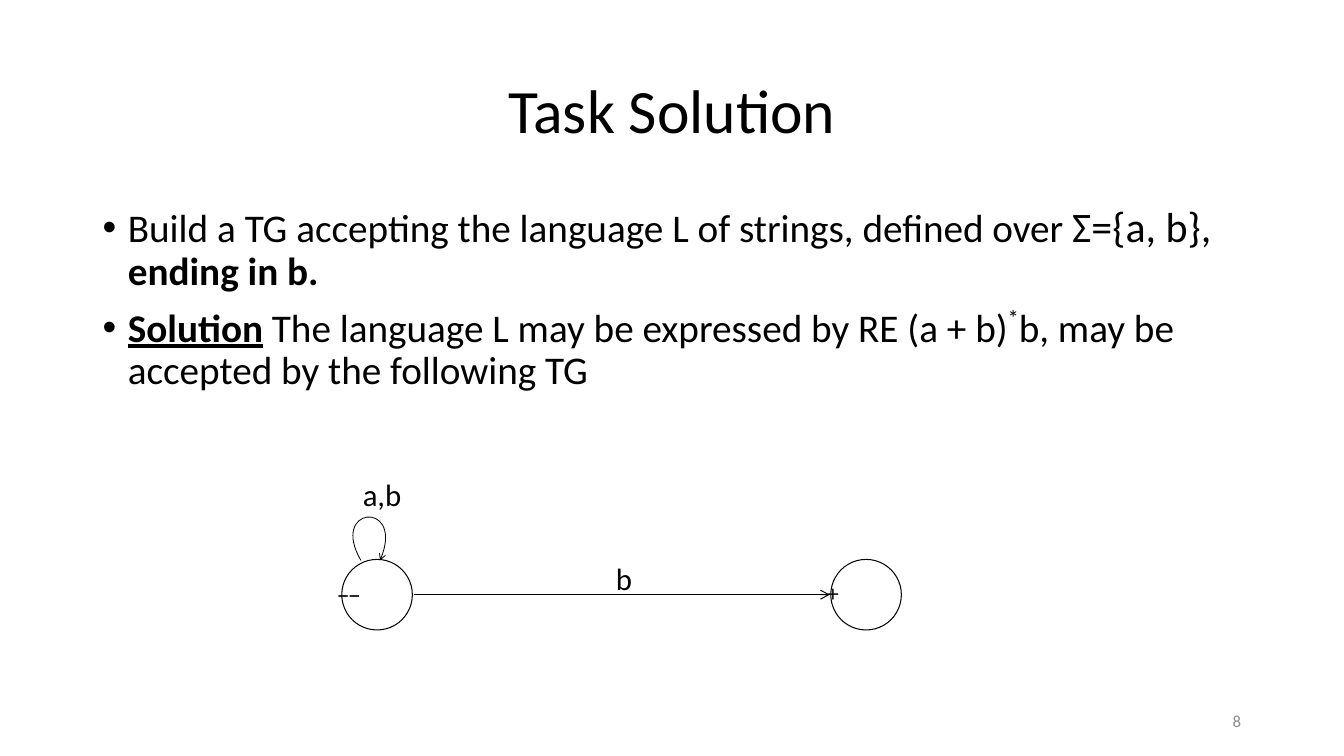
from lxml import etree
from pptx import Presentation
from pptx.dml.color import RGBColor
from pptx.enum.shapes import MSO_CONNECTOR, MSO_SHAPE
from pptx.enum.text import MSO_ANCHOR, MSO_AUTO_SIZE, PP_ALIGN
from pptx.oxml import parse_xml
from pptx.oxml.ns import nsdecls, qn
from pptx.util import Inches, Pt

LEFT, CENTER, RIGHT = PP_ALIGN.LEFT, PP_ALIGN.CENTER, PP_ALIGN.RIGHT
TOP, MIDDLE = MSO_ANCHOR.TOP, MSO_ANCHOR.MIDDLE
NO_AUTOFIT = MSO_AUTO_SIZE.NONE
STRAIGHT, CIRCLE = MSO_CONNECTOR.STRAIGHT, MSO_SHAPE.OVAL
COLORS = {"ink": "000000", "paper": "FFFFFF", "number": "8C8C8C"}
BODY_FONT, MARK_FONT = "Calibri", "Open Sans"
WIDTH, HEIGHT = 13.33, 7.5
DIAMETER = 0.7
TASK = [
    [("Build a TG accepting the language L of strings, defined over ", {}),
     ("Σ={a, b},", {"size": Pt(30)}),
     (" ", {}),
     ("ending in b.", {"bold": True})],
    [("Solution", {"bold": True, "underline": True}),
     (" The language L may be expressed by RE (a + b)", {}),
     ("*", {"baseline": 40}),
     ("b, may be accepted by the following TG", {})],
]


def color(name):
    """Return a palette colour."""
    return RGBColor.from_string(COLORS[name])


def style_font(font, size, ink="ink", face=BODY_FONT, **extras):
    """Apply size, face, colour and further font attributes."""
    baseline = extras.pop("baseline", None)
    for key, value in {"size": Pt(size), "name": face, **extras}.items():
        setattr(font, key, value)
    font.color.rgb = color(ink)
    if baseline:
        font._element.set("baseline", str(baseline * 1000))


def set_frame(frame, anchor):
    """Give a text frame wrapping, an anchor and no autofit."""
    settings = {"word_wrap": True, "auto_size": NO_AUTOFIT, "vertical_anchor": anchor}
    for key, value in settings.items():
        setattr(frame, key, value)


def add_text(slide, box, text, size, align=LEFT, anchor=TOP, **look):
    """Add a text box with one paragraph and return the paragraph."""
    frame = slide.shapes.add_textbox(*map(Inches, box)).text_frame
    set_frame(frame, anchor)
    line = frame.paragraphs[0]
    line.alignment = align
    if text:
        run = line.add_run()
        run.text = text
        style_font(run.font, size, **look)
    return line


def style_line(shape, width):
    """Draw a thin dark outline without a shadow."""
    shape.line.color.rgb = color("ink")
    shape.line.width = Pt(width)


def add_arrowhead(shape, size):
    """Put an open arrowhead at the end of a line."""
    etree.SubElement(shape.line._get_or_add_ln(), qn("a:tailEnd"),
                     type="arrow", w=size, len=size)


def add_title(slide, box, text):
    """Place and format the title placeholder."""
    title = slide.shapes.title
    title.left, title.top, title.width, title.height = map(Inches, box)
    title.text = text
    set_frame(title.text_frame, MIDDLE)
    heading = title.text_frame.paragraphs[0]
    heading.alignment, heading.line_spacing = CENTER, 0.9
    style_font(heading.runs[0].font, 44)


def add_task(slide, box, bullets):
    """Write the bulleted task and its solution."""
    frame = slide.shapes.add_textbox(*map(Inches, box)).text_frame
    set_frame(frame, TOP)
    for index, pieces in enumerate(bullets):
        line = frame.add_paragraph() if index else frame.paragraphs[0]
        line.line_spacing, line.space_before = 0.9, Pt(10)
        layout = line._p.get_or_add_pPr()
        layout.set("marL", str(Inches(0.25)))
        layout.set("indent", str(-Inches(0.25)))
        etree.SubElement(layout, qn("a:buFont"), typeface="Arial")
        etree.SubElement(layout, qn("a:buChar"), char="•")
        for text, extras in pieces:
            run = line.add_run()
            run.text = text
            style_font(run.font, 28, **{k: v for k, v in extras.items() if k != "size"})
            run.font.size = extras.get("size", Pt(28))


def add_state(slide, left, top, mark):
    """Draw one state circle with its start or final mark."""
    state = slide.shapes.add_shape(CIRCLE, *map(Inches, (left, top, DIAMETER, DIAMETER)))
    state.shadow.inherit = False
    state.fill.solid()
    state.fill.fore_color.rgb = color("paper")
    style_line(state, 0.75)
    add_text(slide, (left - 0.14, top + 0.16, 0.98, 0.5), mark, 16, face=MARK_FONT)


def add_loop(slide, left, top):
    """Draw the curved self-transition above a state."""
    offsets = [(0.19, 0.01), (-0.12, -0.52), (0.64, -0.59), (0.38, 0.01)]
    start, *bends = [(Inches(left + x), Inches(top + y)) for x, y in offsets]
    builder = slide.shapes.build_freeform(*start)
    builder.add_line_segments(bends, close=False)
    loop = builder.convert_to_shape()
    loop.shadow.inherit = False
    loop.fill.background()
    style_line(loop, 0.6)
    add_arrowhead(loop, "sm")
    outline = next(loop._element.iter(qn("a:path")))
    curve = etree.SubElement(outline, qn("a:cubicBezTo"))
    for segment in outline.findall(qn("a:lnTo")):
        curve.append(segment[0])
        outline.remove(segment)


def add_graph(slide, box):
    """Draw the transition graph of two states inside its box."""
    left, top, width, height = box
    state_top = top + height - DIAMETER
    middle = state_top + DIAMETER / 2
    final_left = left + width - DIAMETER
    ends = (left + DIAMETER + 0.02, middle, final_left - 0.01, middle)
    transition = slide.shapes.add_connector(STRAIGHT, *map(Inches, ends))
    style_line(transition, 0.75)
    add_arrowhead(transition, "med")
    etree.SubElement(transition._element.spPr, qn("a:effectLst"))
    add_state(slide, left, state_top, "––")
    add_state(slide, final_left, state_top, "+")
    add_loop(slide, left, state_top)
    add_text(slide, (left + 2.62, middle - 0.4, 1.37, 0.51), "b", 22)
    add_text(slide, (left + 0.11, top, 1.37, 0.51), "a,b", 22)


def add_page_number(slide, box, number):
    """Add the slide number as a live field."""
    line = add_text(slide, box, "", 12, RIGHT, MIDDLE)
    line._p.append(parse_xml(
        f'<a:fld {nsdecls("a")} id="{{B6F15528-21DE-4FAA-801E-634DDDAF4B2B}}" '
        f'type="slidenum"><a:rPr lang="en-US" sz="1200"><a:solidFill>'
        f'<a:srgbClr val="{COLORS["number"]}"/></a:solidFill>'
        f'<a:latin typeface="{BODY_FONT}"/></a:rPr><a:t>{number}</a:t></a:fld>'))


def build():
    """Assemble and save the task solution slide."""
    deck = Presentation()
    deck.slide_width, deck.slide_height = Inches(WIDTH), Inches(HEIGHT)
    deck.element.set("firstSlideNum", "8")
    slide = deck.slides.add_slide(deck.slide_layouts[5])
    margin = 0.92
    column = WIDTH - 2 * margin
    add_title(slide, (margin, 0.4, column, 1.45), "Task Solution")
    add_task(slide, (margin, 2, column, 2.2), TASK)
    add_graph(slide, (3.39, 4.67, 5.55, 1.58))
    add_page_number(slide, (WIDTH - margin - 3, 6.95, 3, 0.4), 8)
    deck.save("out.pptx")


build()
